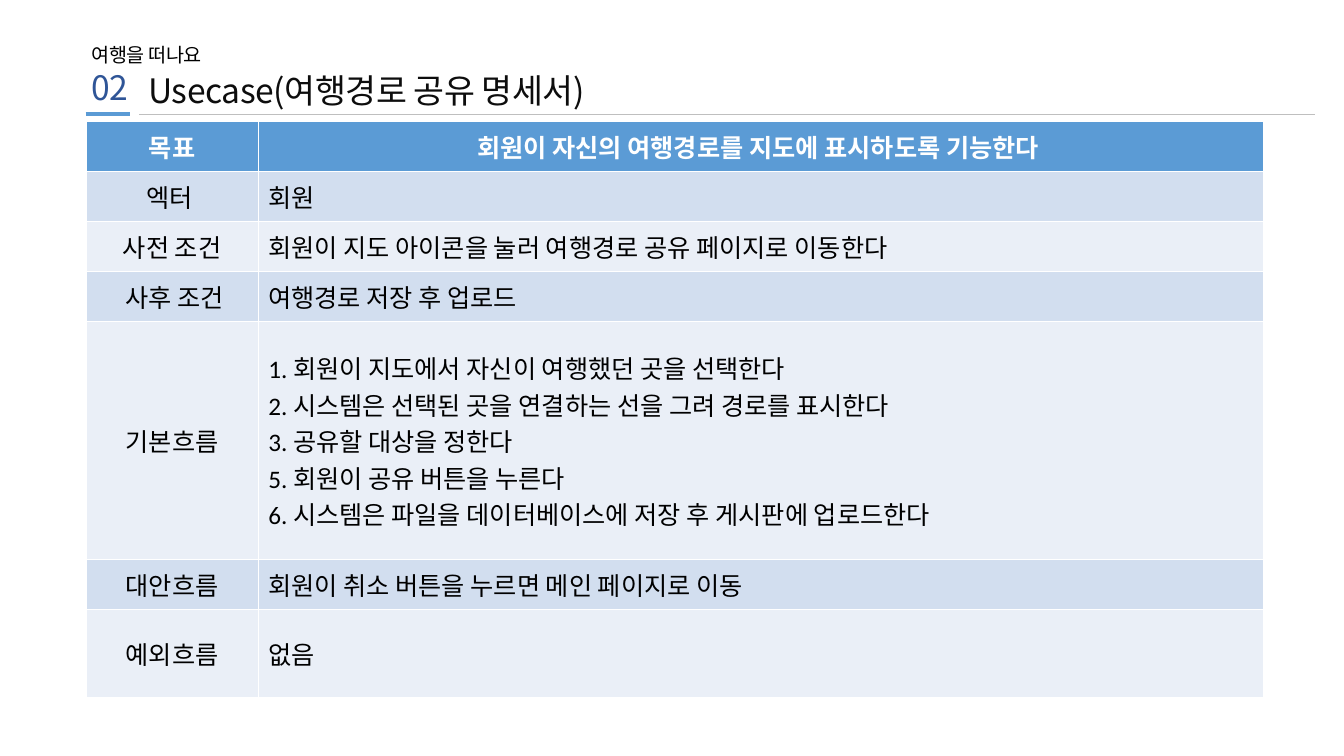
from pptx import Presentation
from pptx.dml.color import RGBColor
from pptx.enum import shapes, text
from pptx.oxml import ns
from pptx.util import Pt
from lxml import etree

HUES = {"ink": "000000", "title": "0D0D0D", "navy": "2F5597", "blue": "5B9BD5",
        "gray": "BFBFBF", "white": "FFFFFF", "dark": "D2DEEF", "light": "EAEFF7"}
SANS = "Noto Sans CJK KR"
ROWS = [
    ("목표", "회원이 자신의 여행경로를 지도에 표시하도록 기능한다 ", 35.7),
    ("엑터 ", "회원", 35.7),
    ("사전 조건", "회원이 지도 아이콘을 눌러 여행경로 공유 페이지로 이동한다", 35.7),
    (" 사후 조건", "여행경로 저장 후 업로드", 35.7),
    ("기본흐름", "1. 회원이 지도에서 자신이 여행했던 곳을 선택한다\n"
     "2. 시스템은 선택된 곳을 연결하는 선을 그려 경로를 표시한다\n"
     "3. 공유할 대상을 정한다\n"
     "5. 회원이 공유 버튼을 누른다\n"
     "6. 시스템은 파일을 데이터베이스에 저장 후 게시판에 업로드한다", 170),
    ("대안흐름", "회원이 취소 버튼을 누르면 메인 페이지로 이동", 35.7),
    ("예외흐름", "없음", 62.6),
]


def hue(name):
    """Return the named colour."""
    return RGBColor.from_string(HUES[name])


def apply(item, form):
    """Set each attribute in form on item."""
    for key, value in form.items():
        setattr(item, key, value)


def style(par, color, align, form):
    """Format the runs of a paragraph."""
    par.alignment = align
    for run in par.runs:
        apply(run.font, form)
        run.font.color.rgb = hue(color)


def label(shape, words, box, size, color, form):
    """Place a shape and fill it with one line of heading text."""
    apply(shape, dict(zip(("left", "top", "width", "height"), map(Pt, box))))
    frame = shape.text_frame
    apply(frame, {"margin_left": 0, "margin_top": 0, "margin_right": 0,
                  "margin_bottom": 0, "auto_size": text.MSO_AUTO_SIZE.NONE, **form})
    frame.text = words
    par = frame.paragraphs[0]
    style(par, color, text.PP_ALIGN.LEFT, {"size": Pt(size), "name": SANS})
    props = par.runs[0].font._element if hasattr(par.runs[0].font, "_element") \
        else par.runs[0]._r.get_or_add_rPr()
    props.set("spc", "-30")
    east = etree.SubElement(props, ns.qn("a:ea"))
    east.set("typeface", SANS)


def rule(slide, left, right, color, width):
    """Draw a flat line under the heading."""
    line = slide.shapes.add_connector(
        shapes.MSO_CONNECTOR.STRAIGHT, Pt(left), Pt(81.6), Pt(right), Pt(81.6))
    line.line.color.rgb = hue(color)
    line.line.width = Pt(width)
    etree.SubElement(line._element.spPr, ns.qn("a:effectLst"))


def grid(slide):
    """Add the use case table."""
    table = slide.shapes.add_table(
        len(ROWS), 2, Pt(61.4), Pt(87), Pt(841), Pt(411)).table
    for col, width in zip(table.columns, (123.1, 717.9)):
        col.width = Pt(width)
    for i, (name, words, height) in enumerate(ROWS):
        table.rows[i].height = Pt(height)
        head = i == 0
        for j, value in enumerate((name, words)):
            cell = table.cell(i, j)
            cell.text = value
            cell.vertical_anchor = text.MSO_ANCHOR.MIDDLE
            cell.fill.solid()
            cell.fill.fore_color.rgb = hue(
                "blue" if head else "dark" if i % 2 else "light")
            align = text.PP_ALIGN.CENTER if head or j == 0 else text.PP_ALIGN.LEFT
            for par in cell.text_frame.paragraphs:
                style(par, "white" if head else "ink", align,
                      {"size": Pt(18), "name": "Calibri", "bold": head})


def main():
    """Build and save the slide."""
    deck = Presentation()
    apply(deck, {"slide_width": Pt(960), "slide_height": Pt(540)})
    slide = deck.slides.add_slide(deck.slide_layouts[5])
    grid(slide)
    top = {"word_wrap": False, "vertical_anchor": text.MSO_ANCHOR.TOP}
    low = {"word_wrap": True, "vertical_anchor": text.MSO_ANCHOR.BOTTOM}
    label(slide.shapes.title, "Usecase(여행경로 공유 명세서)",
          (105.8, 49.7, 344, 29), 24, "title", top)
    rule(slide, 99.4, 939, "gray", 0.5)
    for words, box, size, color, form in (
            ("02", (65.5, 47.5, 27.4, 29), 24, "navy", top),
            ("여행을 떠나요", (65.5, 30.2, 100, 17.3), 14, "ink", low)):
        label(slide.shapes.add_textbox(0, 0, 0, 0), words, box, size, color, form)
    rule(slide, 61.2, 92.9, "blue", 3)
    deck.save("out.pptx")


if __name__ == "__main__":
    main()
